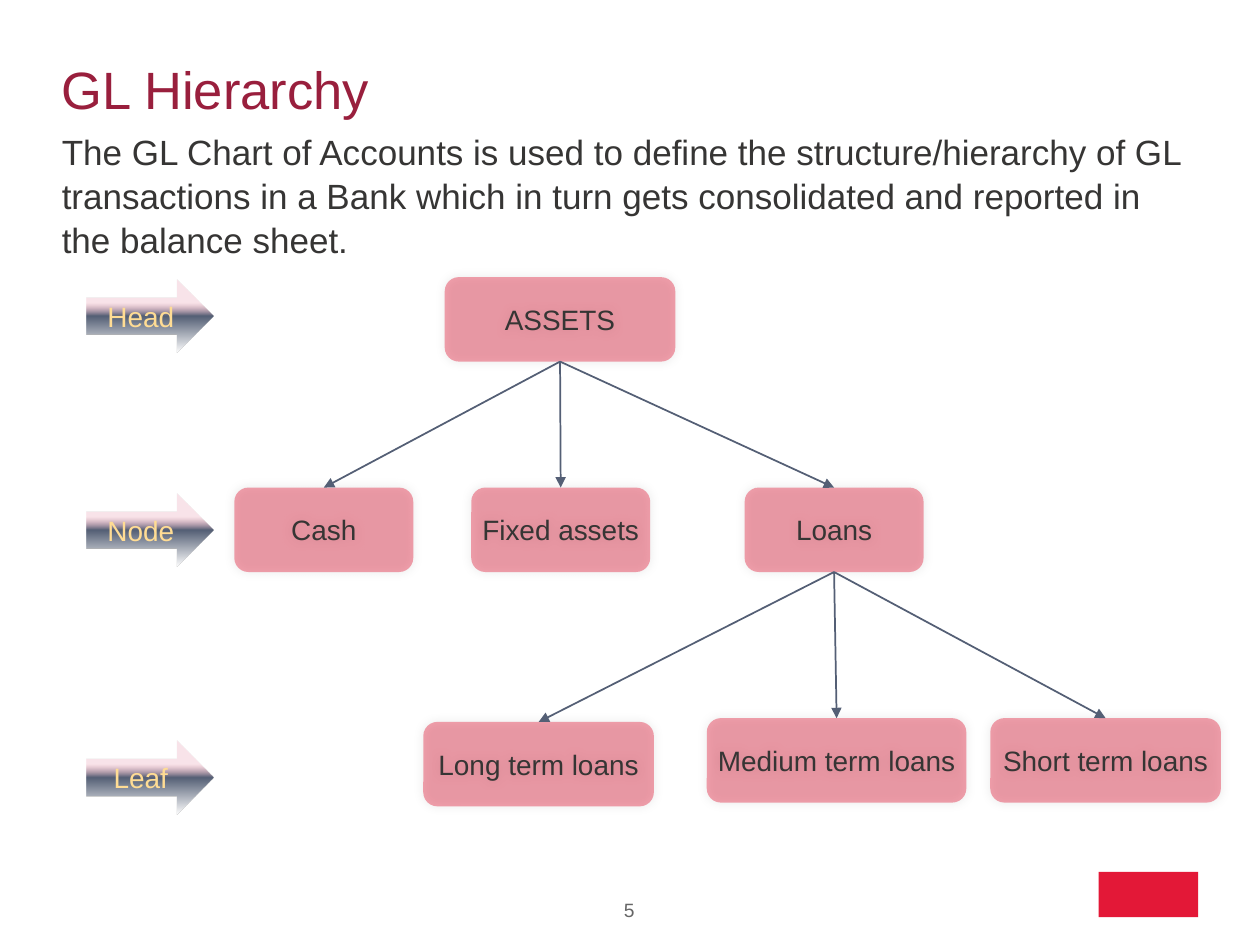
from lxml.etree import SubElement
from pptx import Presentation
from pptx.dml.color import RGBColor
from pptx.enum.shapes import MSO_CONNECTOR, MSO_SHAPE
from pptx.enum.text import MSO_ANCHOR, PP_ALIGN
from pptx.oxml import parse_xml
from pptx.oxml.ns import nsdecls, qn
from pptx.util import Inches, Pt

COLORS = {
    "title": "991F3D", "body": "363534", "number": "666666",
    "box": "E31937", "line": "545F75", "level": "FFDC94",
    "blush": "E993A8", "white": "FFFFFF", "shadow": "000000", "mark": "E31837",
}
FONT = "Arial"
# The slide is a grid of 100 columns and 75 rows
CELL = 0.1
COLUMNS, ROWS = 100, 75
BOX_HEIGHT = 6.7

# Name: (column, row, width in columns)
ACCOUNTS = {
    "ASSETS": (35.3, 22, 18.3),
    "Cash": (18.6, 38.7, 14.2),
    "Fixed assets": (37.4, 38.7, 14.2),
    "Loans": (59.1, 38.7, 14.2),
    "Long term loans": (33.6, 57.3, 18.3),
    "Medium term loans": (56.1, 57, 20.6),
    "Short term loans": (78.6, 57, 18.3),
}
CHILDREN = {
    "ASSETS": ("Cash", "Fixed assets", "Loans"),
    "Loans": ("Long term loans", "Medium term loans", "Short term loans"),
}
LEVELS = {"Head": 22.2, "Node": 39.2, "Leaf": 58.8}


def grid(*cells):
    return [Inches(cell * CELL) for cell in cells]


def color(name):
    return RGBColor.from_string(COLORS[name])


def write(shape, text, size, ink, align=PP_ALIGN.LEFT, anchor=MSO_ANCHOR.TOP,
          margin=0, wrap=True, before=0, spacing=1.0):
    frame = shape.text_frame
    frame.word_wrap = wrap
    frame.vertical_anchor = anchor
    frame.margin_left = frame.margin_right = Inches(margin)
    frame.margin_top = frame.margin_bottom = Inches(margin)
    paragraph = frame.paragraphs[0]
    paragraph.alignment = align
    paragraph.space_before = Pt(before)
    paragraph.line_spacing = spacing
    run = paragraph.add_run()
    run.text = text
    run.font.name = FONT
    run.font.size = Pt(size)
    run.font.color.rgb = color(ink)


def add_text(slide, place, text, **style):
    write(slide.shapes.add_textbox(*grid(*place)), text, **style)


def add_plain_shape(slide, kind, place, fill):
    shape = slide.shapes.add_shape(kind, *grid(*place))
    shape.shadow.inherit = False
    shape.fill.solid()
    shape.fill.fore_color.rgb = color(fill)
    shape.line.fill.background()
    return shape


def write_label(shape, text, ink):
    write(shape, text, size=16, ink=ink, align=PP_ALIGN.CENTER,
          anchor=MSO_ANCHOR.MIDDLE, margin=0.05, wrap=False)


def add_account(slide, name, column, row, width):
    box = add_plain_shape(slide, MSO_SHAPE.ROUNDED_RECTANGLE,
                          (column, row, width, BOX_HEIGHT), "box")
    properties = box._element.spPr
    # Translucent fill and soft shadow
    tint = properties.find(qn("a:solidFill")).find(qn("a:srgbClr"))
    SubElement(tint, qn("a:alpha"), val="40000")
    shadow = SubElement(properties.find(qn("a:effectLst")), qn("a:outerShdw"),
                        blurRad=str(Pt(6)), dist="0", dir="18900000",
                        algn="ctr", rotWithShape="0")
    shade = SubElement(shadow, qn("a:srgbClr"), val=COLORS["shadow"])
    SubElement(shade, qn("a:alpha"), val="20000")
    write_label(box, name, "body")
    return box


def add_level(slide, name, row):
    arrow = add_plain_shape(slide, MSO_SHAPE.RIGHT_ARROW, (6.9, row, 10, 5.8), "line")
    # Vertical gradient
    gradient = parse_xml(f'<a:gradFill {nsdecls("a")} rotWithShape="1"><a:gsLst/>'
                         '<a:lin ang="5400000" scaled="0"/></a:gradFill>')
    for position, tone, alpha in ((32, "blush", 25), (50, "line", 100), (100, "white", 100)):
        stop = SubElement(gradient[0], qn("a:gs"), pos=str(position * 1000))
        tint = SubElement(stop, qn("a:srgbClr"), val=COLORS[tone])
        if alpha < 100:
            SubElement(tint, qn("a:alpha"), val=str(alpha * 1000))
    properties = arrow._element.spPr
    properties.replace(properties.find(qn("a:solidFill")), gradient)
    write_label(arrow, name, "level")


def add_branch(slide, parent, child):
    branch = slide.shapes.add_connector(MSO_CONNECTOR.STRAIGHT, 0, 0, 0, 0)
    branch.begin_connect(parent, 2)
    branch.end_connect(child, 0)
    branch.line.color.rgb = color("line")
    branch.line.width = Pt(1)
    SubElement(branch.line._get_or_add_ln(), qn("a:tailEnd"), type="triangle")
    SubElement(branch._element.spPr, qn("a:effectLst"))


def main():
    presentation = Presentation()
    presentation.slide_width, presentation.slide_height = grid(COLUMNS, ROWS)
    slide = presentation.slides.add_slide(presentation.slide_layouts[6])

    # Plain block in the corner
    add_plain_shape(slide, MSO_SHAPE.RECTANGLE, (87.2, 69.2, 7.9, 3.6), "mark")

    # Title, introduction and page number
    add_text(slide, (4.9, 2, 90.1, 10.1), "GL Hierarchy", size=30, ink="title",
             anchor=MSO_ANCHOR.MIDDLE)
    add_text(slide, (4.9, 10.2, 90.2, 56.2),
             "The GL Chart of Accounts is used to define the structure/hierarchy of GL "
             "transactions in a Bank which in turn gets consolidated and reported in "
             "the balance sheet.", size=20, ink="body", before=5, spacing=1.05)
    add_text(slide, (45.7, 71.3, 8.5, 2.6), "5", size=11, ink="number",
             align=PP_ALIGN.CENTER, wrap=False)

    # Account tree
    boxes = {name: add_account(slide, name, *place) for name, place in ACCOUNTS.items()}
    for parent, children in CHILDREN.items():
        for child in children:
            add_branch(slide, boxes[parent], boxes[child])

    # Level arrows
    for name, row in LEVELS.items():
        add_level(slide, name, row)

    presentation.save("out.pptx")


main()
